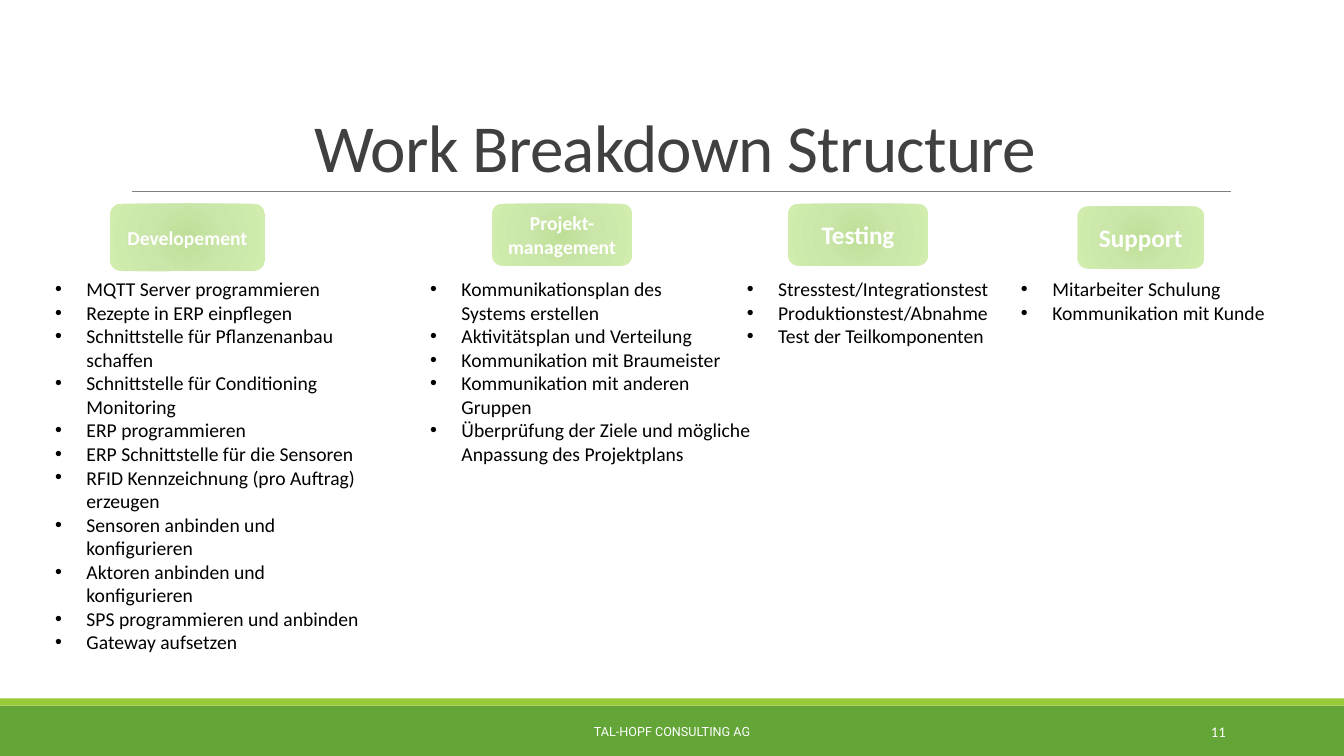
"""Build the work breakdown structure slide."""
from lxml import etree
from pptx import Presentation
from pptx import util as u
from pptx.dml import color
from pptx.enum import shapes, text
from pptx.oxml import ns

CENTER, RIGHT = text.PP_ALIGN.CENTER, text.PP_ALIGN.RIGHT
TOP, MIDDLE, BOTTOM = text.MSO_ANCHOR.TOP, text.MSO_ANCHOR.MIDDLE, text.MSO_ANCHOR.BOTTOM


def rgb(hex_string):
    """Turn a hex string into a colour."""
    return color.RGBColor.from_string(hex_string)


def add_xml(parent, tag, **attributes):
    """Append a DrawingML element and return it."""
    element = etree.SubElement(parent, ns.qn(tag))
    for name, value in attributes.items():
        element.set(name, str(value))
    return element


class WorkBreakdownSlide:
    """Style of the slide and a method for each kind of element."""

    font, white, black, title_grey = "Calibri", "FFFFFF", "000000", "404040"
    dark_green, light_green, rule_grey = "63A537", "99CB38", "808080"
    glow = ((0, "BEDF97"), (45, "CAE6A9"), (100, "D0EDAE"))
    indent = u.Cm(0.79)

    def __init__(self, presentation):
        """Add a blank slide."""
        self.slide = presentation.slides.add_slide(presentation.slide_layouts[6])

    def shape(self, kind, box):
        """Add a preset shape without line or shadow."""
        shape = self.slide.shapes.add_shape(kind, *map(u.Cm, box))
        shape.shadow.inherit = False
        shape.line.fill.background()
        return shape

    def band(self, box, fill):
        """Add a plain coloured bar."""
        bar = self.shape(shapes.MSO_SHAPE.RECTANGLE, box)
        bar.fill.solid()
        bar.fill.fore_color.rgb = rgb(fill)

    def rule(self, left, right, y):
        """Add a thin horizontal line."""
        line = self.slide.shapes.add_connector(
            shapes.MSO_CONNECTOR.STRAIGHT, u.Cm(left), u.Cm(y), u.Cm(right), u.Cm(y))
        line.line.color.rgb = rgb(self.rule_grey)
        line.line.width = u.Pt(0.5)
        add_xml(line._element.spPr, "a:effectLst")

    def set_text(self, frame, lines, size, ink, align=None, anchor=TOP, font=None, bold=False):
        """Fill a text frame, one paragraph a line, and return the paragraphs."""
        frame.word_wrap = True
        frame.vertical_anchor = anchor
        for index, line in enumerate(lines):
            paragraph = frame.add_paragraph() if index else frame.paragraphs[0]
            paragraph.alignment = align
            for part_index, part in enumerate(line.split("\n")):
                if part_index:
                    paragraph.add_line_break()
                run = paragraph.add_run()
                run.text = part
                run.font.name = font or self.font
                run.font.size = u.Pt(size)
                run.font.bold = bold
                run.font.color.rgb = rgb(ink)
        return frame.paragraphs

    def label(self, box, lines, size, ink, **style):
        """Add a text box and return its paragraphs."""
        frame = self.slide.shapes.add_textbox(*map(u.Cm, box)).text_frame
        return self.set_text(frame, lines, size, ink, **style)

    def title(self, box, wording):
        """Add the heading with tight spacing."""
        heading = self.label(box, [wording], 48, self.title_grey, align=CENTER, anchor=BOTTOM)[0]
        heading.line_spacing = 0.85
        heading.runs[0].font._element.set("spc", "-50")

    def header(self, box, lines, size):
        """Add a rounded column header with a radial gradient."""
        header = self.shape(shapes.MSO_SHAPE.ROUNDED_RECTANGLE, box)
        gradient = etree.Element(ns.qn("a:gradFill"), rotWithShape="1")
        stops = add_xml(gradient, "a:gsLst")
        for position, tone in self.glow:
            add_xml(add_xml(stops, "a:gs", pos=position * 1000), "a:srgbClr", val=tone)
        add_xml(add_xml(gradient, "a:path", path="circle"), "a:fillToRect",
                **dict.fromkeys("ltrb", 100000))
        header._element.spPr.find(ns.qn("a:prstGeom")).addnext(gradient)
        self.set_text(header.text_frame, lines, size, self.white,
                      align=CENTER, anchor=MIDDLE, bold=True)

    def tasks(self, box, items):
        """Add a bulleted task list."""
        for paragraph in self.label(box, items, 14, self.black):
            properties = paragraph._p.get_or_add_pPr()
            properties.set("marL", str(self.indent))
            properties.set("indent", str(-self.indent))
            add_xml(properties, "a:buFont", typeface="Arial")
            add_xml(properties, "a:buChar", char="•")


# header box, header lines, header size, left edge of the tasks, tasks
WORK_PACKAGES = (
    ((2.77, 5.13, 3.91, 1.7), ["Developement"], 14, 1.14, [
        "MQTT Server programmieren",
        "Rezepte in ERP einpflegen",
        "Schnittstelle für Pflanzenanbau schaffen",
        "Schnittstelle für Conditioning Monitoring",
        "ERP programmieren",
        "ERP Schnittstelle für die Sensoren",
        "RFID Kennzeichnung (pro Auftrag) erzeugen",
        "Sensoren anbinden und konfigurieren",
        "Aktoren anbinden und konfigurieren",
        "SPS programmieren und anbinden",
        "Gateway aufsetzen"]),
    ((12.4, 5.13, 3.53, 1.57), ["Projekt-", "management"], 14, 10.59, [
        "Kommunikationsplan des\nSystems erstellen",
        "Aktivitätsplan und Verteilung",
        "Kommunikation mit Braumeister",
        "Kommunikation mit anderen Gruppen",
        "Überprüfung der Ziele und mögliche Anpassung des Projektplans"]),
    ((19.86, 5.13, 3.53, 1.57), ["Testing"], 18, 18.57, [
        "Stresstest/Integrationstest",
        "Produktionstest/Abnahme",
        "Test der Teilkomponenten"]),
    ((27.15, 5.2, 3.2, 1.57), ["Support"], 18, 25.48, [
        "Mitarbeiter Schulung",
        "Kommunikation mit Kunde"]),
)

presentation = Presentation()
presentation.slide_width, presentation.slide_height = u.Cm(33.87), u.Cm(19.05)
page = WorkBreakdownSlide(presentation)

page.band((0, 17.78, 33.87, 1.27), page.dark_green)
page.band((0, 17.6, 33.87, 0.18), page.light_green)
page.rule(3.33, 31.01, 4.83)
page.title((3.05, 0.79, 27.94, 4.04), "Work Breakdown Structure")

for header_box, header_lines, header_size, tasks_left, items in WORK_PACKAGES:
    page.header(header_box, header_lines, header_size)
    page.tasks((tasks_left, 6.86, 8.59, 11.66), items)

page.label((10.24, 17.93, 13.39, 1.02), ["TAL-HOPF CONSULTING AG"], 9, page.white,
           align=CENTER, anchor=MIDDLE, font="Roboto")
page.label((27.51, 17.93, 3.63, 1.02), ["11"], 10.5, page.white, align=RIGHT, anchor=MIDDLE)

presentation.save("out.pptx")
